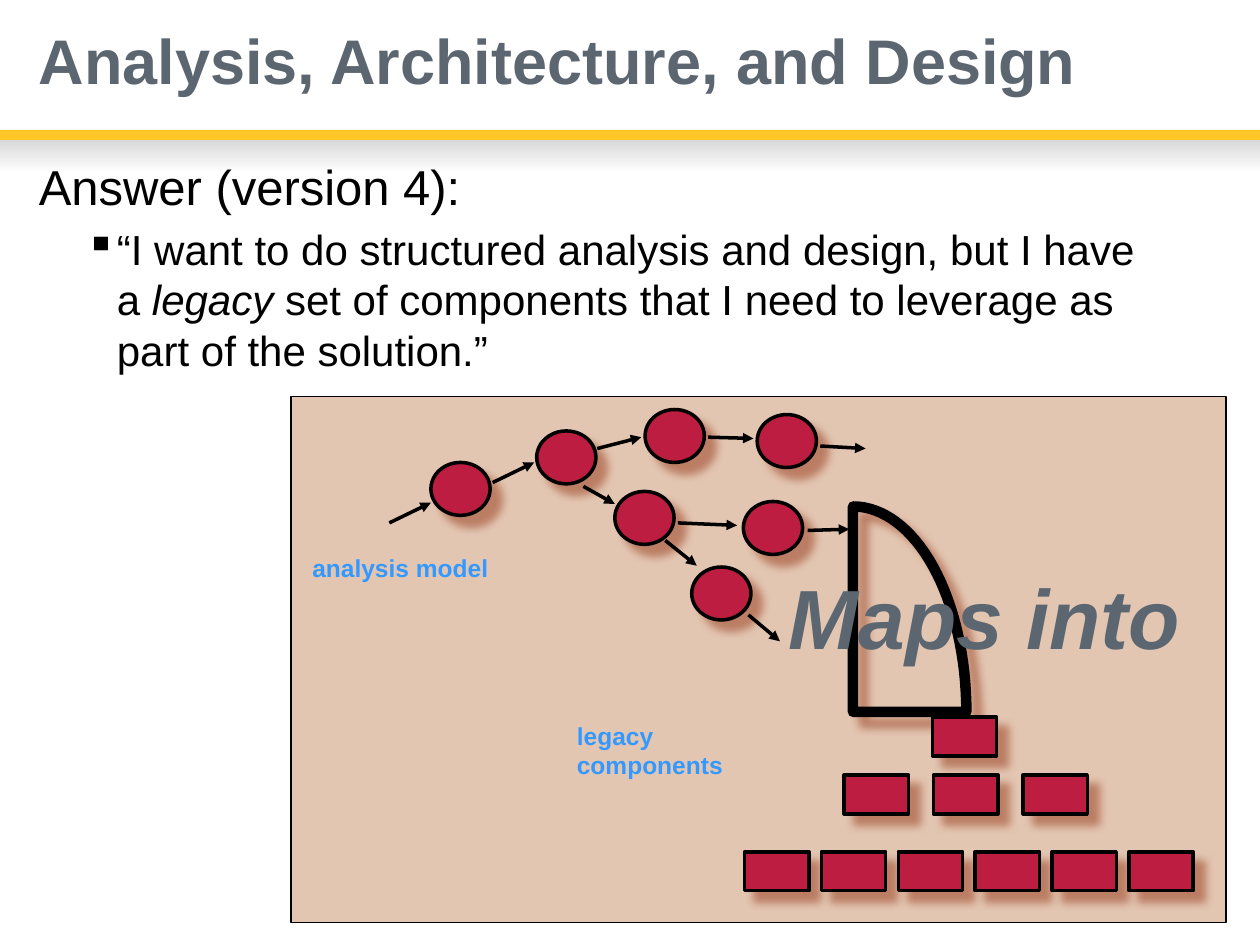
from collections import namedtuple
from math import cos, pi, sin

from lxml.etree import SubElement
from pptx import Presentation
from pptx.dml.color import RGBColor
from pptx.enum.shapes import MSO_CONNECTOR, MSO_SHAPE
from pptx.enum.text import MSO_ANCHOR
from pptx.oxml.ns import qn
from pptx.util import Inches, Pt

COLORS = {
    "slate": "5C6670", "gold": "FFC627", "fade": "D9D9D9", "white": "FFFFFF",
    "black": "000000", "tan": "E3C6B2", "crimson": "BC1D40",
    "shadow": "AF674B", "label": "3399FF",
}
CIRCLES = [(1.11, 0.52), (1.95, 0.27), (2.81, 0.10), (2.57, 0.75),
           (3.18, 1.35), (3.70, 0.14), (3.59, 0.83)]
ARROWS = [
    (0.78, 1.00, 1.11, 0.84), (1.60, 0.68, 1.93, 0.52), (2.43, 0.41, 2.78, 0.32),
    (3.31, 0.32, 3.67, 0.33), (4.20, 0.39, 4.56, 0.41), (2.32, 0.71, 2.57, 0.85),
    (2.97, 1.14, 3.22, 1.34), (3.63, 1.73, 3.88, 1.94), (4.10, 1.06, 4.43, 1.05),
    (3.07, 1.00, 3.54, 1.02),
]
BLOCK_ROWS = [(5.09, 2.54, 1, 0), (4.39, 3.00, 3, 0.71), (3.60, 3.61, 6, 0.61)]

Box = namedtuple("Box", "left top width height")


def inside(box, left, top, width, height):
    """Return a box placed relative to another box."""
    return Box(box.left + left, box.top + top, width, height)


def color(name):
    """Return the named colour."""
    return RGBColor.from_string(COLORS[name])


def add_span(para, text, size=24, fill="black", bold=False, italic=False):
    """Add formatted text to a paragraph."""
    span = para.add_run()
    span.text = text
    span.font.name = "Arial"
    span.font.size = Pt(size)
    span.font.bold = bold
    span.font.italic = italic
    span.font.color.rgb = color(fill)


def add_text_frame(page, box):
    """Add a wrapping text box and return its frame."""
    frame = page.shapes.add_textbox(*map(Inches, box)).text_frame
    frame.word_wrap = True
    return frame


def add_lines(page, box, lines, **style):
    """Add a text box with one paragraph for each line."""
    frame = add_text_frame(page, box)
    for index, line in enumerate(lines):
        para = frame.add_paragraph() if index else frame.paragraphs[0]
        add_span(para, line, **style)
    return frame


def set_indent(para, left, first):
    """Set the left margin and first-line indent of a paragraph."""
    properties = para._p.get_or_add_pPr()
    properties.set("marL", str(Inches(left)))
    properties.set("indent", str(Inches(first)))
    return properties


def add_shadow(shape):
    """Give a shape a soft shadow to the lower right."""
    effects = shape._element.spPr.find(qn("a:effectLst"))
    shadow = SubElement(effects, qn("a:outerShdw"), blurRad=str(Pt(5)),
                        dist=str(Pt(8.5)), dir=str(45 * 60000),
                        algn="ctr", rotWithShape="0")
    tint = SubElement(shadow, qn("a:srgbClr"), val=COLORS["shadow"])
    SubElement(tint, qn("a:alpha"), val="75000")


def add_figure(page, kind, box, fill, line=None, shadow=False):
    """Add a preset shape with an optional black outline and shadow."""
    shape = page.shapes.add_shape(kind, *map(Inches, box))
    shape.shadow.inherit = False
    shape.fill.solid()
    shape.fill.fore_color.rgb = color(fill)
    if line:
        shape.line.color.rgb = color("black")
        shape.line.width = Pt(line)
    else:
        shape.line.fill.background()
    if shadow:
        add_shadow(shape)
    return shape


def add_arrow(page, box, ends):
    """Add an arrow between two points measured from the box corner."""
    start_x, start_y, end_x, end_y = ends
    arrow = page.shapes.add_connector(
        MSO_CONNECTOR.STRAIGHT,
        Inches(box.left + start_x), Inches(box.top + start_y),
        Inches(box.left + end_x), Inches(box.top + end_y))
    arrow.line.color.rgb = color("black")
    arrow.line.width = Pt(2)
    SubElement(arrow.line._get_or_add_ln(), qn("a:tailEnd"), type="triangle")
    SubElement(arrow._element.spPr, qn("a:effectLst"))


def add_quarter(page, box, steps=32):
    """Add the outline of a quarter ellipse that fills the box."""
    angles = [pi / 2 * step / steps for step in range(1, steps + 1)]
    points = [(Inches(box.left + box.width * sin(angle)),
               Inches(box.top + box.height * (1 - cos(angle)))) for angle in angles]
    points.append((Inches(box.left), Inches(box.top + box.height)))
    builder = page.shapes.build_freeform(Inches(box.left), Inches(box.top))
    builder.add_line_segments(points, close=True)
    quarter = builder.convert_to_shape()
    quarter.shadow.inherit = False
    quarter.fill.background()
    quarter.line.color.rgb = color("black")
    quarter.line.width = Pt(6)
    add_shadow(quarter)


def add_header(page, box):
    """Place the title above a gold bar with a fading edge."""
    fade = add_figure(page, MSO_SHAPE.RECTANGLE, inside(box, 0, 1.11, box.width, 0.27), "fade")
    fade.fill.gradient()
    fade.fill.gradient_angle = 270
    for stop, name in zip(fade.fill.gradient_stops, ("fade", "white")):
        stop.color.rgb = color(name)
    add_figure(page, MSO_SHAPE.RECTANGLE, inside(box, 0, 1.03, box.width, 0.08), "gold")
    frame = add_lines(page, inside(box, 0.21, 0, 9.52, 1.02),
                      ["Analysis, Architecture, and Design"],
                      size=36, fill="slate", bold=True)
    frame.vertical_anchor = MSO_ANCHOR.MIDDLE
    frame.paragraphs[0].line_spacing = 0.9


def add_answer(page, box):
    """Place the answer heading and its bullet."""
    frame = add_lines(page, box, ["Answer (version 4):"], size=28)
    set_indent(frame.paragraphs[0], 0.25, -0.25)
    para = frame.add_paragraph()
    para.level = 1
    properties = set_indent(para, 0.62, -0.25)
    tint = SubElement(properties, qn("a:buClr"))
    SubElement(tint, qn("a:srgbClr"), val=COLORS["black"])
    SubElement(properties, qn("a:buChar"), char="▪")
    para.space_before = Pt(4.8)
    add_span(para, "“I want to do structured analysis and design, but I have a ")
    add_span(para, "legacy ", italic=True)
    add_span(para, "set of components that I need to leverage as part of the solution.”")


def add_diagram(page, box):
    """Place the analysis model, the mapping and the legacy components."""
    add_figure(page, MSO_SHAPE.RECTANGLE, box, "tan", line=0.75)
    add_quarter(page, inside(box, 4.46, 0.87, 0.9, 1.63))
    add_lines(page, inside(box, 3.85, 1.29, 3.31, 0.9), ["Maps into"],
              size=48, fill="slate", bold=True, italic=True)
    for left, top in CIRCLES:
        add_figure(page, MSO_SHAPE.OVAL, inside(box, left, top, 0.47, 0.42),
                   "crimson", line=2, shadow=True)
    for ends in ARROWS:
        add_arrow(page, box, ends)
    for left, top, count, pitch in BLOCK_ROWS:
        for column in range(count):
            add_figure(page, MSO_SHAPE.RECTANGLE,
                       inside(box, left + column * pitch, top, 0.51, 0.31),
                       "crimson", line=2, shadow=True)
    label = {"size": 14, "fill": "label", "bold": True}
    add_lines(page, inside(box, 0.07, 1.19, 2.59, 0.5), ["analysis model"], **label)
    add_lines(page, inside(box, 2.17, 2.52, 2.18, 0.9), ["legacy", "components"], **label)


def main():
    """Build and save the deck."""
    deck = Presentation()
    deck.slide_width, deck.slide_height = Inches(10), Inches(7.5)
    page = deck.slides.add_slide(deck.slide_layouts[6])
    add_header(page, Box(0, 0, 10, 1.38))
    add_answer(page, Box(0.21, 1.19, 9, 6.17))
    add_diagram(page, Box(2.31, 3.15, 7.42, 4.17))
    deck.save("out.pptx")


if __name__ == "__main__":
    main()
